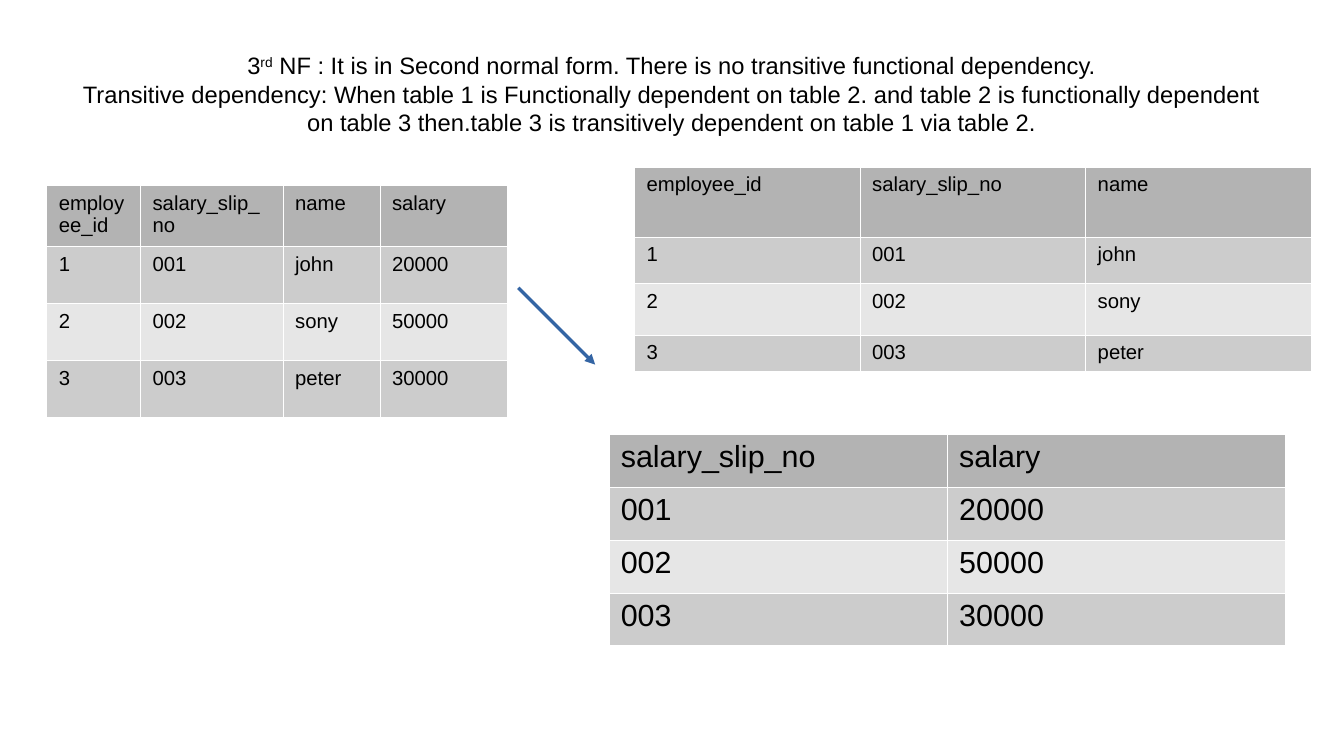
import pptx
import pptx.util
import pptx.dml.color
import pptx.enum.shapes
import pptx.enum.text
import pptx.oxml
import pptx.oxml.ns

Pt = pptx.util.Pt
RGBColor = pptx.dml.color.RGBColor

FONT = "Arial"
BLACK = RGBColor(0, 0, 0)
WHITE = RGBColor(0xFF, 0xFF, 0xFF)
HEADER = RGBColor(0xB3, 0xB3, 0xB3)
BANDS = (RGBColor(0xCC, 0xCC, 0xCC), RGBColor(0xE6, 0xE6, 0xE6))
BLUE = RGBColor(0x34, 0x65, 0xA4)

EMPLOYEES = [
    ("employee_id", "salary_slip_no", "name", "salary"),
    ("1", "001", "john", "20000"),
    ("2", "002", "sony", "50000"),
    ("3", "003", "peter", "30000"),
]


def add_run(p, text, size):
    r = p.add_run()
    r.text = text
    r.font.name = FONT
    r.font.size = Pt(size)
    r.font.color.rgb = BLACK
    return r


def add_title(s):
    tf = s.shapes.add_textbox(Pt(39.6), Pt(18), Pt(714.24), Pt(74.88)).text_frame
    tf.word_wrap = True
    tf.margin_left = tf.margin_right = tf.margin_top = tf.margin_bottom = 0
    tf.vertical_anchor = pptx.enum.text.MSO_ANCHOR.MIDDLE
    p = tf.paragraphs[0]
    p.alignment = pptx.enum.text.PP_ALIGN.CENTER
    add_run(p, "3", 14)
    add_run(p, "rd", 14).font._element.set("baseline", "33000")
    add_run(p, " NF : It is in Second normal form. There is no transitive functional dependency.", 14)
    p.add_line_break()
    add_run(p, "Transitive dependency: When table 1 is Functionally dependent on table 2. "
               "and table 2 is functionally dependent on table 3 then."
               "table 3 is transitively dependent on table 1 via table 2.", 14)


def border_cell(cell):
    tcPr = cell._tc.get_or_add_tcPr()
    for i, side in enumerate(("lnL", "lnR", "lnT", "lnB")):
        tcPr.insert(i, pptx.oxml.parse_xml(
            f'<a:{side} {pptx.oxml.ns.nsdecls("a")} w="{Pt(0.06)}"><a:solidFill>'
            f'<a:srgbClr val="{WHITE}"/></a:solidFill></a:{side}>'))


def add_table(s, left, top, widths, heights, data, size):
    table = s.shapes.add_table(len(heights), len(widths), Pt(left), Pt(top),
                               Pt(sum(widths)), Pt(sum(heights))).table
    for column, width in zip(table.columns, widths):
        column.width = Pt(width)
    for i, (row, height, values) in enumerate(zip(table.rows, heights, data)):
        row.height = Pt(height)
        for cell, value in zip(row.cells, values):
            cell.margin_left = cell.margin_right = Pt(7.2)
            cell.margin_top = cell.margin_bottom = Pt(3.6)
            cell.fill.solid()
            cell.fill.fore_color.rgb = BANDS[(i - 1) % 2] if i else HEADER
            border_cell(cell)
            add_run(cell.text_frame.paragraphs[0], value, size)


def add_arrow(s, x1, y1, x2, y2):
    line = s.shapes.add_connector(pptx.enum.shapes.MSO_CONNECTOR.STRAIGHT,
                                  Pt(x1), Pt(y1), Pt(x2), Pt(y2))
    line.line.color.rgb = BLUE
    line.line.width = Pt(0)
    ns = pptx.oxml.ns.nsdecls("a")
    line.line._get_or_add_ln().append(pptx.oxml.parse_xml(f'<a:tailEnd {ns} type="triangle"/>'))
    line._element.spPr.append(pptx.oxml.parse_xml(f"<a:effectLst {ns}/>"))


def main():
    prs = pptx.Presentation()
    prs.slide_width = Pt(793.44)
    prs.slide_height = Pt(446.4)
    s = prs.slides.add_slide(prs.slide_layouts[6])
    add_title(s)
    add_table(s, 27.5, 109.5, (55.4, 84.2, 57.2, 74.9), (35.5,) + (33.7,) * 3, EMPLOYEES, 12)
    add_table(s, 374.5, 98.6, (133.2,) * 3, (41.5, 27.3, 30.2, 21.8),
              [row[:3] for row in EMPLOYEES], 12)
    add_table(s, 359.3, 256.4, (199.8,) * 2, (31.2,) * 4,
              [row[1::2] for row in EMPLOYEES], 18)
    add_arrow(s, 306, 170, 351.4, 215.3)
    prs.save("out.pptx")


if __name__ == "__main__":
    main()
